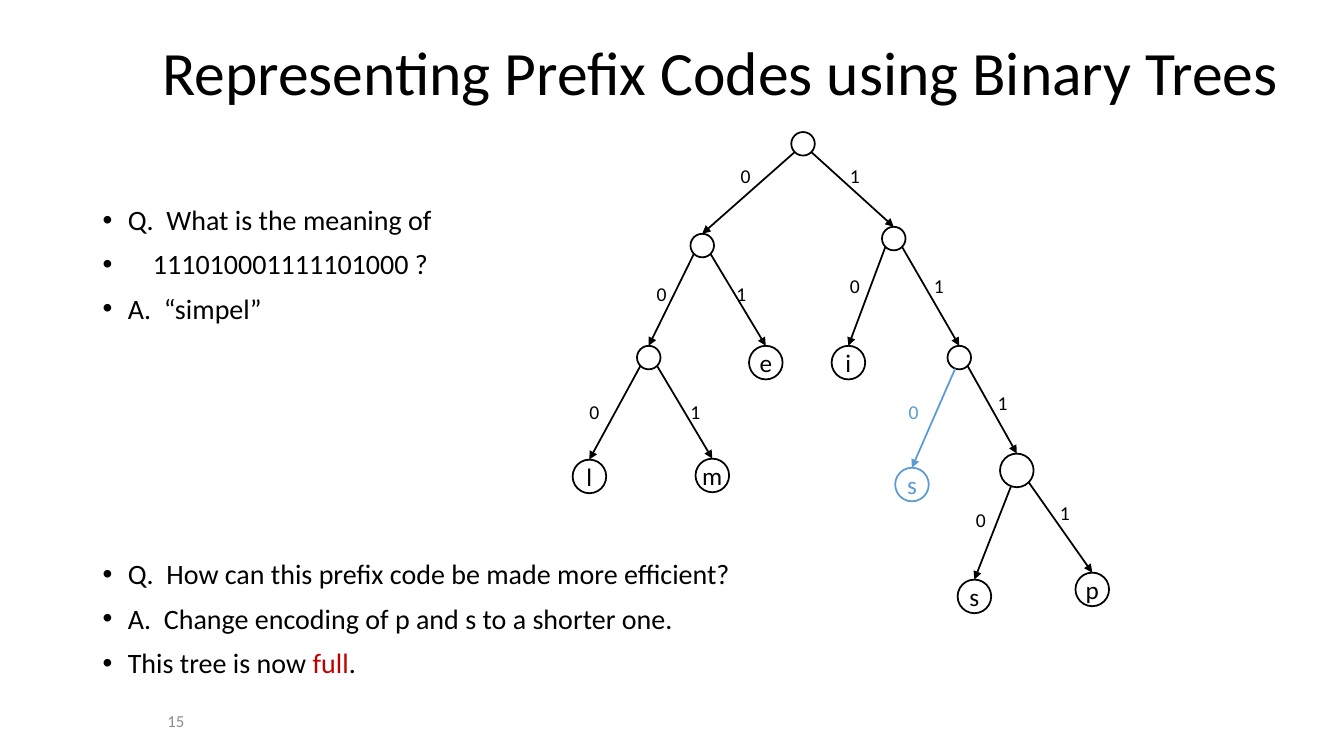
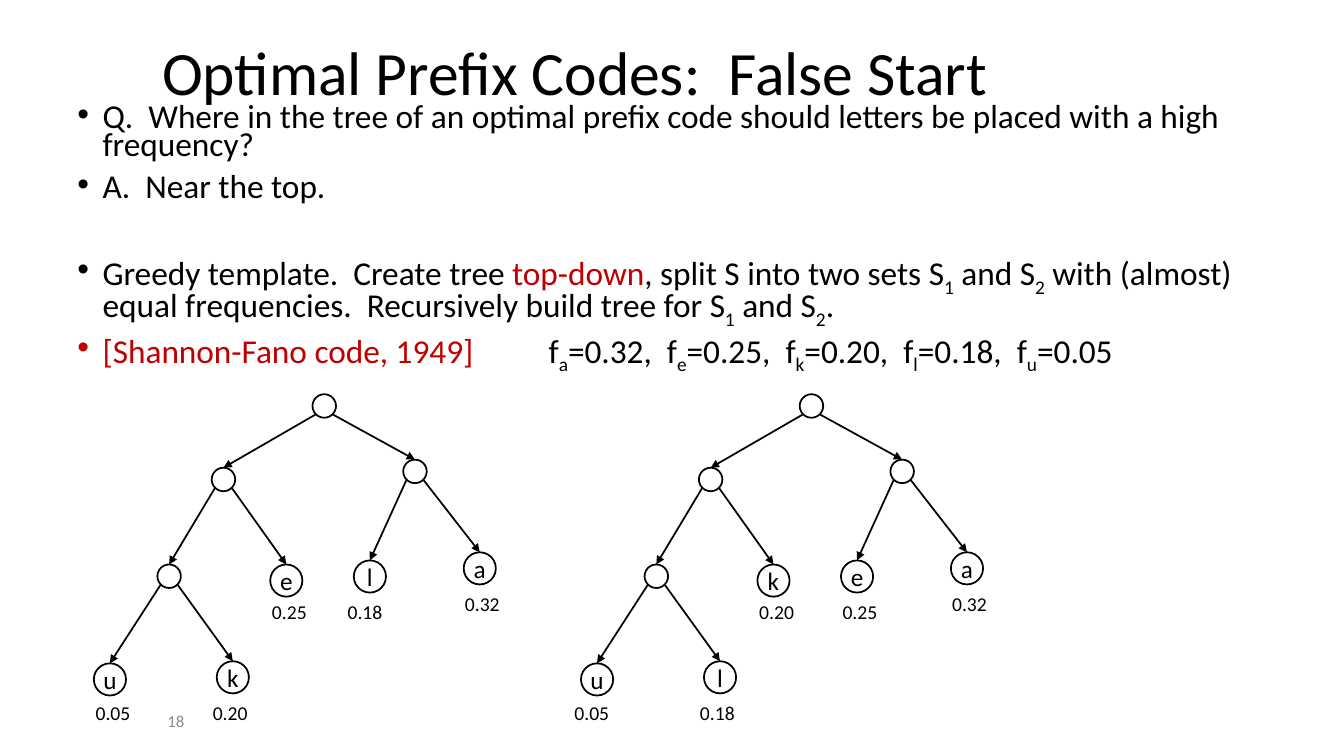
import math

import lxml.etree
import pptx
import pptx.dml.color
import pptx.enum.shapes
import pptx.enum.text
import pptx.oxml.ns
import pptx.util

Pt = pptx.util.Pt
ANCHOR = pptx.enum.text.MSO_ANCHOR
ALIGN = pptx.enum.text.PP_ALIGN

BLACK, WHITE, RED, BLUE, GRAY = "000000", "FFFFFF", "C00000", "5B9BD5", "8C8C8C"
FONT = "Calibri"
LINE_WIDTH = 1.25
SMALL, LARGE, LEAF = 16.8, 24, 23
STYLES = {"plain": (BLACK, 0), "red": (RED, 0), "sub": (BLACK, -25000)}

# Paragraphs are (space before, spans); a span is (text, style).
CODE_TEXT = [
    (0, [("Q.  What is the meaning of ", "plain")]),
    (10, [("\t111010001111101000 ?", "plain")]),
    (10, [("A.  “simpel”", "plain")]),
    (168.3, [("Q.  How can this prefix code be made more efficient?", "plain")]),
    (10, [("A.  Change encoding of p and s to a shorter one.", "plain")]),
    (10, [("This tree is now ", "plain"), ("full", "red"), (".", "plain")]),
]

FREQUENCIES = {"a": "0.32", "e": "0.25", "k": "0.20", "l": "0.18", "u": "0.05"}
FREQUENCY_SPANS = [
    span
    for index, (letter, value) in enumerate(FREQUENCIES.items())
    for span in ((",  f" if index else "f", "plain"), (letter, "sub"), ("=" + value, "plain"))
]
MERGED_SPANS = []
for text, style in FREQUENCY_SPANS:
    if MERGED_SPANS and MERGED_SPANS[-1][1] == style:
        MERGED_SPANS[-1] = (MERGED_SPANS[-1][0] + text, style)
    else:
        MERGED_SPANS.append((text, style))

SETS = [("1", "sub"), (" and S", "plain"), ("2", "sub")]
GREEDY_TEXT = [
    (0, [("Q.  Where in the tree of an optimal prefix code should letters "
          "be placed with a high frequency?", "plain")]),
    (10, [("A.  Near the top.", "plain")]),
    (40.4, [("Greedy template.  Create tree ", "plain"), ("top-down", "red"),
            (", split S into two sets S", "plain"), *SETS,
            (" with (almost) equal frequencies.  Recursively build tree for S", "plain"),
            *SETS, (". ", "plain")]),
    (10, [("[Shannon-Fano code, 1949]\t", "red"), *MERGED_SPANS]),
]
FREQUENCY_TAB = 336.6

# Code word: (letter or None for a small node, centre, place of the bit label)
CODE_TREE = {
    "": (None, (573.6, 102.7), None),
    "0": (None, (501.6, 175.4), (522, 113.8)),
    "1": (None, (638.4, 170.4), (600, 113.8)),
    "00": (None, (463.4, 255.4), (462, 198)),
    "01": ("e", (547, 259), (519, 198)),
    "10": ("i", (606, 259), (600, 192)),
    "11": (None, (685.2, 255.4), (660, 192)),
    "000": ("l", (421, 340.3), (414, 282)),
    "001": ("m", (508.8, 339.6), (486, 282)),
    "110": ("s", (651.4, 346.1), (642, 282)),
    "111": ("", (726.3, 336), (705.6, 276)),
    "1110": ("s", (696, 426), (690, 359)),
    "1111": ("p", (780.2, 421), (750, 354)),
}
SHORTER_CODE = "110"
STEEP_CODES = ("110", "1110")

# Code word: centre in the left tree; the right tree is shifted.
SPLIT_CENTRES = {
    "": (231.6, 290), "0": (159.6, 342.5), "1": (296.4, 336.7),
    "00": (120.8, 411.6), "01": (204.5, 414.7), "10": (264.2, 411.8),
    "11": (342.7, 406), "000": (78.5, 485.3), "001": (166.3, 483.8),
}
WEIGHT_TOPS = {"01": 424.8, "10": 424.8, "11": 419.5, "000": 496.8, "001": 496.8}
# Shift of the tree, then code word: (letter, left edge of the frequency)
SPLIT_TREES = [
    (0, {"01": ("e", 187.2), "10": ("l", 241.2), "11": ("a", 325),
         "000": ("u", 61.2), "001": ("k", 144.9)}),
    (348, {"01": ("k", 187.2), "10": ("e", 246.7), "11": ("a", 325),
           "000": ("u", 55.2), "001": ("l", 144.9)}),
]


def color(value):
    """Turn a hex string into a colour."""
    return pptx.dml.color.RGBColor.from_string(value)


def apply(target, formats):
    """Set each named attribute of the target."""
    for name, value in formats.items():
        setattr(target, name, value)


def add_span(para, text, size, hue=BLACK, baseline=0):
    """Append one formatted run to a paragraph."""
    span = para.add_run()
    span.text = text
    apply(span.font, {"name": FONT, "size": Pt(size)})
    span.font.color.rgb = color(hue)
    if baseline:
        span._r.get_or_add_rPr().set("baseline", str(baseline))


def add_box(page, left, top, width, height, **formats):
    """Add an empty text box and return its text frame."""
    box = page.shapes.add_textbox(Pt(left), Pt(top), Pt(width), Pt(height))
    apply(box.text_frame, {"word_wrap": True, **formats})
    return box.text_frame


def add_label(page, text, left, top, width, hue=BLACK):
    """Add a small one-line label."""
    frame = add_box(page, left, top, width, 24.5, word_wrap=False)
    add_span(frame.paragraphs[0], text, 14, hue)


def add_child(parent, tag, **attributes):
    """Append a drawing element below the parent."""
    return lxml.etree.SubElement(parent, pptx.oxml.ns.qn(tag), attributes)


def add_body(page, area, paragraphs, size, spacing, top_inset=3.6, tab=None):
    """Add the bulleted text of a page."""
    frame = add_box(page, *area, margin_top=Pt(top_inset))
    for index, (space, spans) in enumerate(paragraphs):
        para = frame.add_paragraph() if index else frame.paragraphs[0]
        apply(para, {"line_spacing": spacing, "space_before": Pt(space)})
        layout = para._p.get_or_add_pPr()
        layout.set("marL", str(Pt(18)))
        layout.set("indent", str(-Pt(18)))
        add_child(layout, "a:buFont", typeface="Arial")
        add_child(layout, "a:buChar", char="•")
        if tab:
            stops = add_child(layout, "a:tabLst")
            add_child(stops, "a:tab", pos=str(Pt(tab)), algn="l")
        for text, style in spans:
            add_span(para, text, size, *STYLES[style])


def add_node(page, centre, diameter, letter, hue=BLACK):
    """Add a round tree node, with its letter if it has one."""
    left, top = (value - diameter / 2 for value in centre)
    node = page.shapes.add_shape(pptx.enum.shapes.MSO_SHAPE.OVAL,
                                 Pt(left), Pt(top), Pt(diameter), Pt(diameter))
    node.shadow.inherit = False
    node.fill.background()
    node.line.color.rgb = color(hue)
    node.line.width = Pt(LINE_WIDTH)
    if letter:
        apply(node.text_frame, {"word_wrap": False, "vertical_anchor": ANCHOR.MIDDLE})
        para = node.text_frame.paragraphs[0]
        para.alignment = ALIGN.CENTER
        add_span(para, letter, 18, hue)


def add_edge(page, parent, child, side, angle=45, hue=BLACK):
    """Draw an arrow from the lower rim of a parent to the top of a child."""
    (parent_x, parent_y), parent_size = parent
    (child_x, child_y), child_size = child
    radius, turn = parent_size / 2, math.radians(angle)
    edge = page.shapes.add_connector(
        pptx.enum.shapes.MSO_CONNECTOR.STRAIGHT,
        Pt(parent_x + side * radius * math.sin(turn)),
        Pt(parent_y + radius * math.cos(turn)),
        Pt(child_x), Pt(child_y - child_size / 2))
    edge.line.color.rgb = color(hue)
    edge.line.width = Pt(LINE_WIDTH)
    add_child(edge.line._get_or_add_ln(), "a:tailEnd", type="triangle")
    add_child(edge._element.spPr, "a:effectLst")


def add_tree(page, nodes, marked=None, steep=()):
    """Draw nodes {code: (letter, centre, diameter)} and their edges."""
    for code, (letter, centre, diameter) in nodes.items():
        hue = BLUE if code == marked else BLACK
        add_node(page, centre, diameter, letter, hue)
        if code:
            side = 1 if code[-1] == "1" else -1
            angle = 20 if code in steep else 45
            add_edge(page, nodes[code[:-1]][1:], (centre, diameter), side, angle, hue)


def add_page(deck, title, number):
    """Add a page with its title and page number."""
    page = deck.slides.add_slide(deck.slide_layouts[6])
    page.background.fill.solid()
    page.background.fill.fore_color.rgb = color(WHITE)
    for text, size, hue, area in (
        (number, 12, GRAY, (112.5, 500.5, 170, 28.8)),
        (title, 44, BLACK, (108.7, 20.9, 828, 65.5)),
    ):
        frame = add_box(page, *area, vertical_anchor=ANCHOR.MIDDLE)
        add_span(frame.paragraphs[0], text, size, hue)
    frame.paragraphs[0].line_spacing = 0.9
    return page


def build_code_page(deck):
    """Show a prefix code as a binary tree."""
    page = add_page(deck, "Representing Prefix Codes using Binary Trees", "15")
    add_body(page, (66.2, 104.4, 870.5, 381.6), CODE_TEXT, 20, 0.9, top_inset=43)
    nodes = {code: (letter, centre, SMALL if letter is None else LARGE)
             for code, (letter, centre, place) in CODE_TREE.items()}
    add_tree(page, nodes, SHORTER_CODE, STEEP_CODES)
    for code, (letter, centre, place) in CODE_TREE.items():
        if place:
            add_label(page, code[-1], *place, 21.6, BLUE if code == SHORTER_CODE else BLACK)


def build_split_page(deck):
    """Compare two trees for the same letter frequencies."""
    page = add_page(deck, "Optimal Prefix Codes:  False Start", "18")
    add_body(page, (48.2, 72, 841, 203.8), GREEDY_TEXT, 23.8, 0.7, tab=FREQUENCY_TAB)
    for shift, leaves in SPLIT_TREES:
        nodes = {}
        for code, (x, y) in SPLIT_CENTRES.items():
            letter = leaves[code][0] if code in leaves else None
            nodes[code] = (letter, (x + shift, y), LEAF if letter else SMALL)
        add_tree(page, nodes)
        for code, (letter, left) in leaves.items():
            add_label(page, FREQUENCIES[letter], left + shift, WEIGHT_TOPS[code], 39.6)


deck = pptx.Presentation()
apply(deck, {"slide_width": Pt(960), "slide_height": Pt(540)})
build_code_page(deck)
build_split_page(deck)
deck.save("out.pptx")
